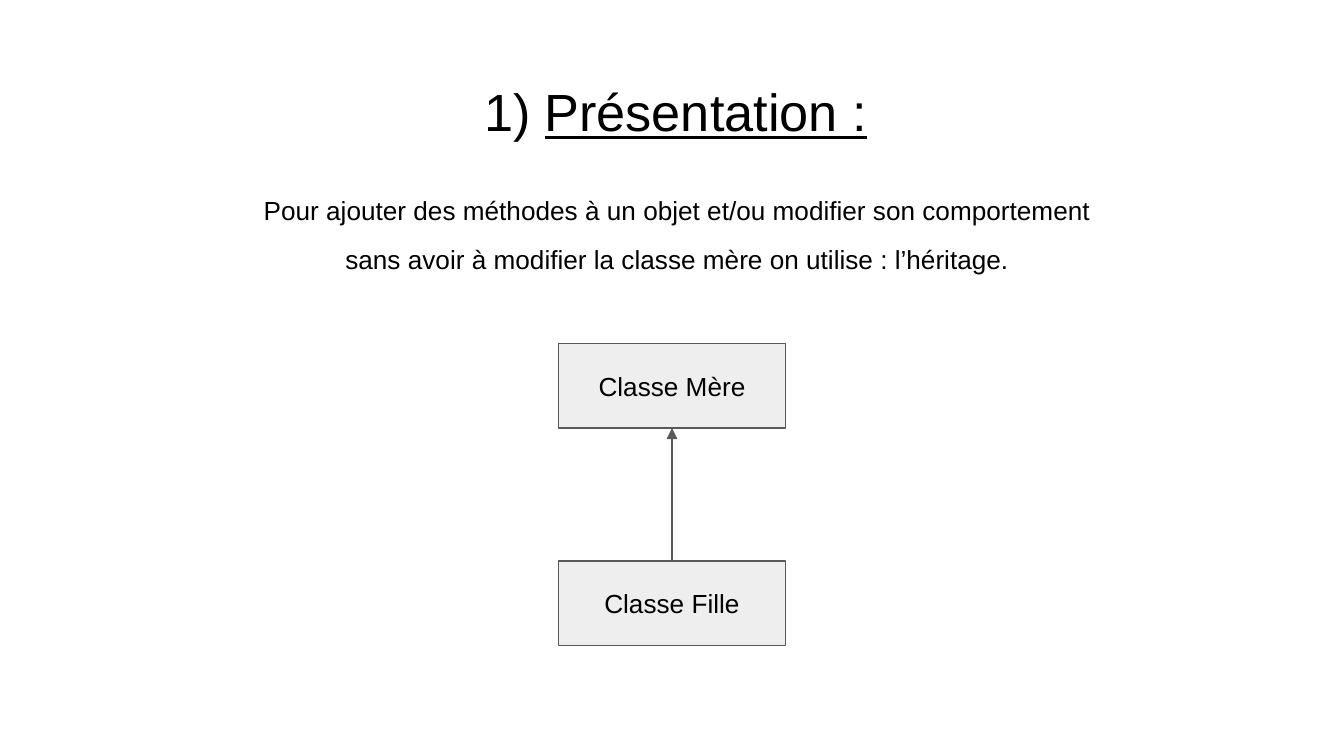
from lxml import etree
from pptx import Presentation
from pptx.dml.color import RGBColor
from pptx.enum.shapes import MSO_CONNECTOR, MSO_SHAPE
from pptx.enum.text import MSO_ANCHOR, PP_ALIGN
from pptx.oxml.ns import qn
from pptx.util import Pt

PX = 4572  # 200 px to the inch
PAGE_WIDTH, PAGE_HEIGHT = 2000, 1125
INSET = 20
FONT = "Arial"
COLORS = {"text": "000000", "fill": "EEEEEE", "line": "595959"}
RECTANGLE = MSO_SHAPE.RECTANGLE
STRAIGHT = MSO_CONNECTOR.STRAIGHT
CENTER = PP_ALIGN.CENTER
TOP, MIDDLE = MSO_ANCHOR.TOP, MSO_ANCHOR.MIDDLE


def color(name):
    return RGBColor.from_string(COLORS[name])


def emu(*lengths):
    return [length * PX for length in lengths]


def write(shape, text, size, anchor=TOP):
    """Put one centred paragraph in the shape and return it."""
    frame = shape.text_frame
    frame.text = text
    frame.word_wrap = True
    frame.vertical_anchor = anchor
    frame.margin_left = frame.margin_right = INSET * PX
    frame.margin_top = frame.margin_bottom = INSET * PX
    para = frame.paragraphs[0]
    para.alignment = CENTER
    font = para.runs[0].font
    font.name, font.size = FONT, Pt(size)
    font.color.rgb = color("text")
    return para


def add_title(page, box, text):
    para = write(page.shapes.add_textbox(*emu(*box)), text, 28)
    para.runs[0].font.underline = True
    # Automatic number with a hanging indent
    properties = para._p.get_or_add_pPr()
    properties.set("marL", str(100 * PX))
    properties.set("indent", str(-89 * PX))
    bullet_color = etree.SubElement(properties, qn("a:buClr"))
    etree.SubElement(bullet_color, qn("a:srgbClr"), val=COLORS["text"])
    etree.SubElement(properties, qn("a:buFont"), typeface=FONT)
    etree.SubElement(properties, qn("a:buAutoNum"), type="arabicParenR")


def add_explanation(page, box, text):
    para = write(page.shapes.add_textbox(*emu(*box)), text, 14)
    para.line_spacing = 1.58
    para.space_before = Pt(15)


def add_class_box(page, box, name):
    shape = page.shapes.add_shape(RECTANGLE, *emu(*box))
    shape.shadow.inherit = False
    shape.fill.solid()
    shape.fill.fore_color.rgb = color("fill")
    shape.line.color.rgb = color("line")
    shape.line.width = Pt(0.75)
    write(shape, name, 14, MIDDLE)
    return shape


def add_inheritance(page, box, parent_name, child_name):
    left, top, width, height = box
    box_height = 126
    parent = add_class_box(page, (left, top, width, box_height), parent_name)
    child_top = top + height - box_height
    child = add_class_box(page, (left, child_top, width, box_height), child_name)
    # Arrow from the child's top side to the parent's bottom side
    arrow = page.shapes.add_connector(STRAIGHT, 0, 0, 0, 0)
    arrow.begin_connect(child, 0)
    arrow.end_connect(parent, 2)
    arrow.line.color.rgb = color("line")
    arrow.line.width = Pt(0.75)
    etree.SubElement(arrow.line._get_or_add_ln(), qn("a:tailEnd"), type="triangle")
    etree.SubElement(arrow._element.spPr, qn("a:effectLst"))


def main():
    deck = Presentation()
    deck.slide_width, deck.slide_height = emu(PAGE_WIDTH, PAGE_HEIGHT)
    page = deck.slides.add_slide(deck.slide_layouts[6])
    add_title(page, (68, 98, 1864, 126), "Présentation :")
    add_explanation(
        page,
        (331, 242, 1354, 196),
        "Pour ajouter des méthodes à un objet et/ou modifier son comportement "
        "sans avoir à modifier la classe mère on utilise : l’héritage.",
    )
    add_inheritance(page, (831, 511, 338, 450), "Classe Mère", "Classe Fille")
    deck.save("out.pptx")


if __name__ == "__main__":
    main()
